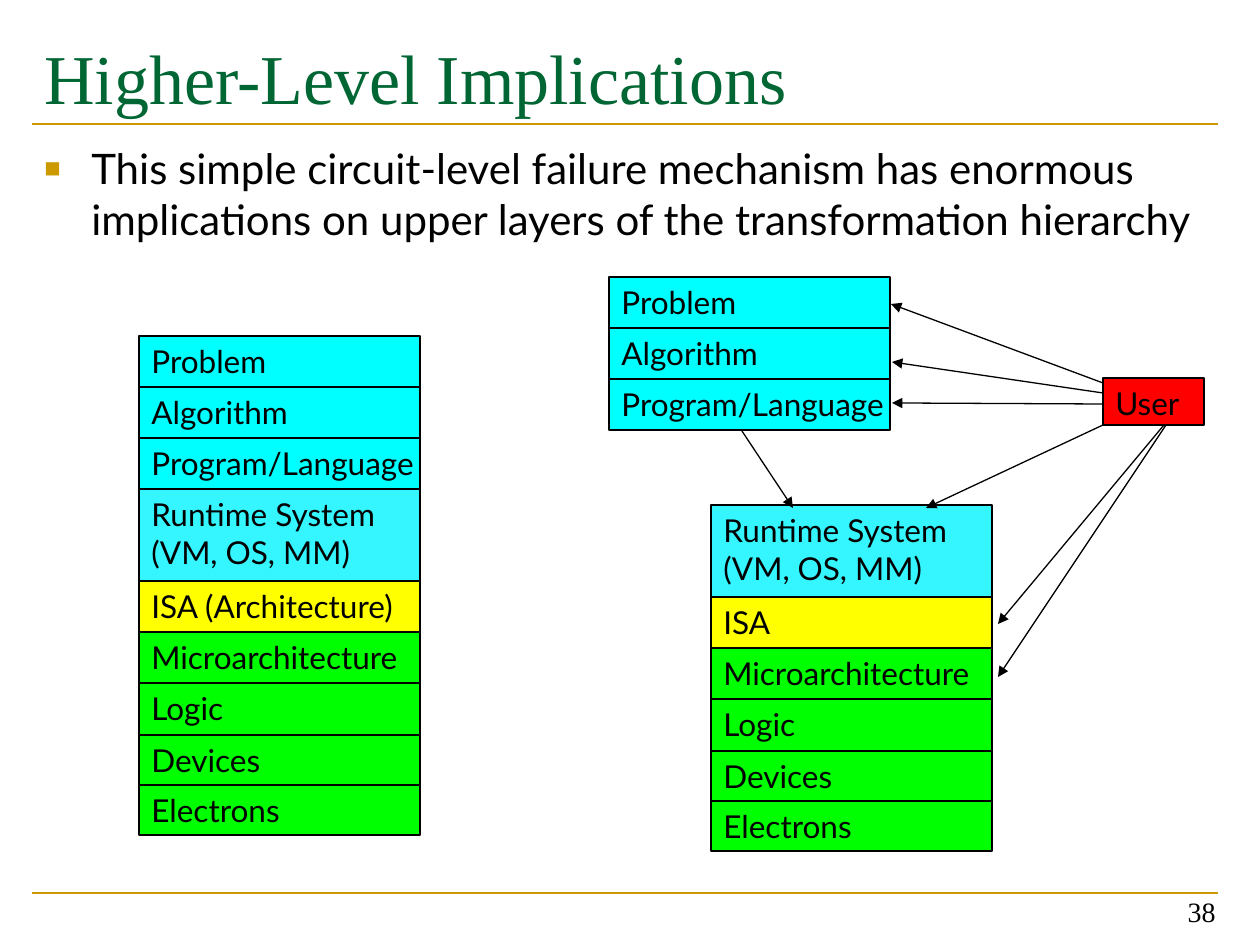
from lxml import etree
from pptx import Presentation
from pptx import util as u
from pptx.dml.color import RGBColor
from pptx.enum import shapes, text
from pptx.oxml.ns import qn

SCALE = 914400 / 126
WIDE = 281
GOLD, BLACK = "CC9900", "000000"
CYAN, AQUA, YELLOW, GREEN = "00FFFF", "35F6FF", "FFFF00", "00FF00"

TOP = [("Problem", CYAN, 51), ("Algorithm", CYAN, 51),
       ("Program/Language", CYAN, 51)]
RUNTIME = ("Runtime System\n(VM, OS, MM)", AQUA, 92)
LOW = [("Microarchitecture", GREEN, 51), ("Logic", GREEN, 52),
       ("Devices", GREEN, 50), ("Electrons", GREEN, 50)]

ARROWS = [(742, 431, 793, 508), (1103, 404, 892, 403),
          (1103, 425, 926, 508), (1103, 383, 891, 304),
          (1164, 425, 998, 624), (1166, 425, 998, 677),
          (1103, 393, 892, 362)]


def px(*nums):
    """Turn pixel lengths into EMU."""
    return [u.Emu(round(n * SCALE)) for n in nums]


def color(code):
    """Turn a hex string into a colour."""
    return RGBColor.from_string(code)


def bullet(par):
    """Give a paragraph a gold square and a hanging indent."""
    props = par._p.get_or_add_pPr()
    left, = px(47)
    props.set("marL", str(left))
    props.set("indent", str(-left))
    tint = etree.SubElement(props, qn("a:buClr"))
    etree.SubElement(tint, qn("a:srgbClr"), val=GOLD)
    etree.SubElement(props, qn("a:buSzPct"), val="65000")
    etree.SubElement(props, qn("a:buFont"), typeface="Arial")
    etree.SubElement(props, qn("a:buChar"), char="■")


def write(shape, words, size=18, face="Lato", tint=BLACK, wrap=True,
          align=text.PP_ALIGN.LEFT, anchor=text.MSO_ANCHOR.TOP,
          mark=False, inset=6):
    """Put formatted text into a shape."""
    frame = shape.text_frame
    frame.text = words
    frame.word_wrap = wrap
    frame.vertical_anchor = anchor
    frame.margin_top, = px(inset)
    for par in frame.paragraphs:
        par.alignment = align
        if mark:
            bullet(par)
        for run in par.runs:
            run.font.size = u.Pt(size)
            run.font.name = face
            run.font.color.rgb = color(tint)


def label(slide, area, words, **style):
    """Add a text box."""
    write(slide.shapes.add_textbox(*px(*area)), words, **style)


def block(slide, area, words, fill):
    """Add a filled and outlined rectangle with text."""
    rect = slide.shapes.add_shape(shapes.MSO_SHAPE.RECTANGLE, *px(*area))
    rect.shadow.inherit = False
    rect.fill.solid()
    rect.fill.fore_color.rgb = color(fill)
    rect.line.color.rgb = color(BLACK)
    rect.line.width = u.Pt(0.75)
    write(rect, words, wrap=False)


def stack(slide, left, top, rows):
    """Pile layers downward, each touching the last."""
    for words, fill, high in rows:
        block(slide, (left, top, WIDE, high), words, fill)
        top += high


def line(slide, ends, tint=BLACK, width=0.75, arrow=False):
    """Add a straight line, with an arrowhead if wanted."""
    link = slide.shapes.add_connector(
        shapes.MSO_CONNECTOR.STRAIGHT, *px(*ends))
    link.line.color.rgb = color(tint)
    link.line.width = u.Pt(width)
    if arrow:
        etree.SubElement(link.line._get_or_add_ln(), qn("a:tailEnd"),
                         type="triangle")
    etree.SubElement(link._element.spPr, qn("a:effectLst"))


def main():
    """Build and save the slide."""
    deck = Presentation()
    deck.slide_width, deck.slide_height = px(1260, 945)
    slide = deck.slides.add_slide(deck.slide_layouts[6])
    for y in (893, 124):
        line(slide, (32, y, 1218, y), GOLD, 1.5)
    label(slide, (32, 21, 1187, 147), "Higher-Level Implications",
          size=40, face="Times New Roman", tint="006633", inset=14)
    label(slide, (32, 137, 1187, 716),
          "This simple circuit-level failure mechanism has enormous "
          "implications on upper layers of the transformation hierarchy",
          size=24, mark=True)
    label(slide, (934, 871, 294, 63), "38", size=16, face="Times New Roman",
          align=text.PP_ALIGN.RIGHT, anchor=text.MSO_ANCHOR.BOTTOM)
    stack(slide, 139, 336,
          [*TOP, RUNTIME, ("ISA (Architecture)", YELLOW, 51), *LOW])
    stack(slide, 609, 277, TOP)
    stack(slide, 711, 505, [RUNTIME, ("ISA", YELLOW, 51), *LOW])
    block(slide, (1103, 378, 101, 47), "User", "FF0000")
    for ends in ARROWS:
        line(slide, ends, arrow=True)
    deck.save("out.pptx")


if __name__ == "__main__":
    main()
